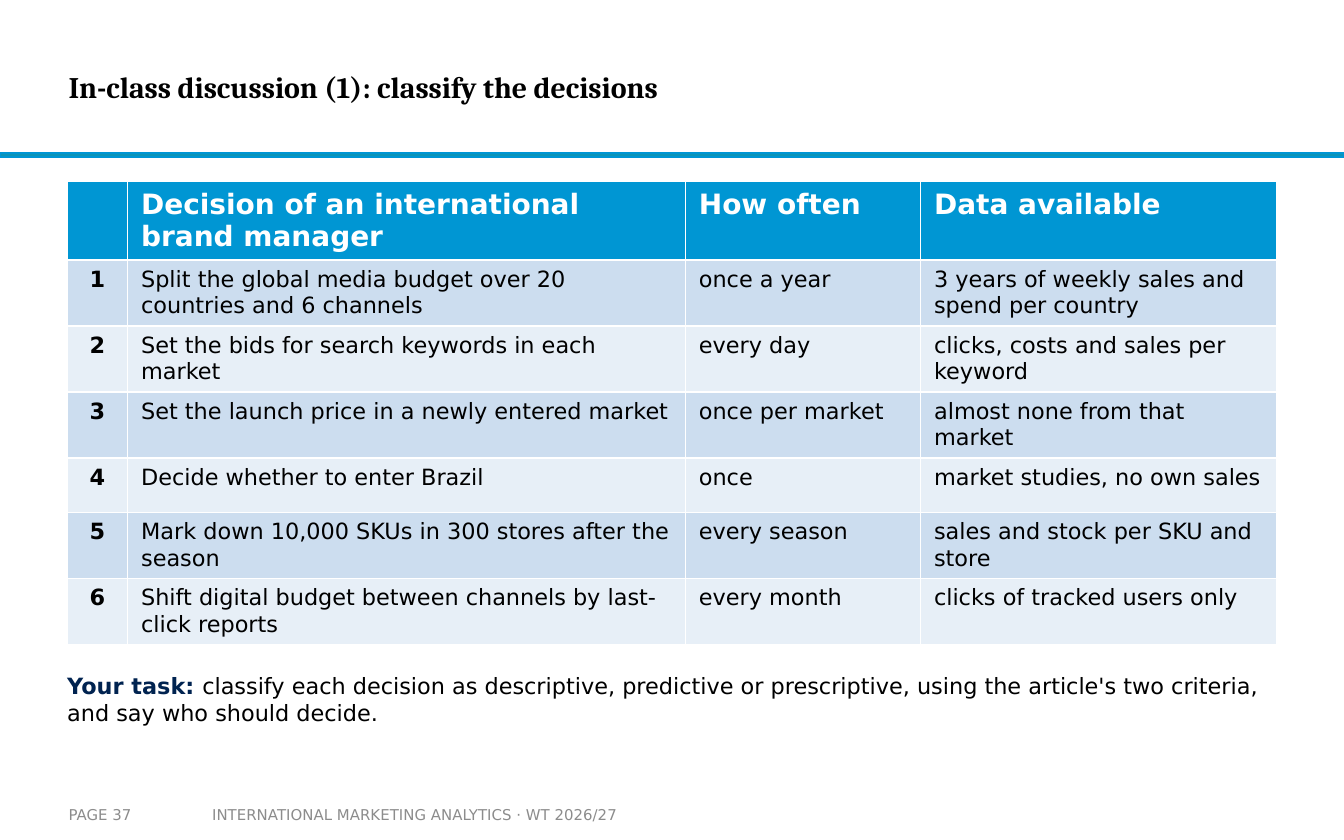
import pptx
import pptx.dml.color
import pptx.enum.shapes
import pptx.enum.text
import pptx.util
from pptx.util import Inches

COLORS = {
    "header": "0096D3", "rule": "0C94B7", "odd_row": "CCDDEF", "even_row": "E7EFF7",
    "navy": "002350", "gray": "8C8C8C", "black": "000000", "white": "FFFFFF",
}
ALIGN = pptx.enum.text.PP_ALIGN


def rgb(name):
    return pptx.dml.color.RGBColor.from_string(COLORS[name])


def add_text(paragraph, text, size, color, bold=False, name="DejaVu Sans"):
    run = paragraph.add_run()
    run.text = text
    values = {"size": pptx.util.Pt(size), "bold": bold, "name": name}
    for attribute, value in values.items():
        setattr(run.font, attribute, value)
    run.font.color.rgb = rgb(color)


presentation = pptx.Presentation()
presentation.slide_width = Inches(10)
presentation.slide_height = Inches(6.25)
slide = presentation.slides.add_slide(presentation.slide_layouts[5])

# Rule below the title
rule = slide.shapes.add_shape(
    pptx.enum.shapes.MSO_SHAPE.RECTANGLE, Inches(0), Inches(1.14), Inches(10), Inches(0.03))
rule.shadow.inherit = False
rule.fill.solid()
rule.fill.fore_color.rgb = rgb("rule")
rule.line.color.rgb = rgb("header")
rule.line.width = pptx.util.Pt(1)

# Table of decisions
rows = [
    ("", "Decision of an international brand manager", "How often", "Data available"),
    ("1", "Split the global media budget over 20 countries and 6 channels",
     "once a year", "3 years of weekly sales and spend per country"),
    ("2", "Set the bids for search keywords in each market",
     "every day", "clicks, costs and sales per keyword"),
    ("3", "Set the launch price in a newly entered market",
     "once per market", "almost none from that market"),
    ("4", "Decide whether to enter Brazil", "once", "market studies, no own sales"),
    ("5", "Mark down 10,000 SKUs in 300 stores after the season",
     "every season", "sales and stock per SKU and store"),
    ("6", "Shift digital budget between channels by last-click reports",
     "every month", "clicks of tracked users only"),
]
column_widths = [0.45, 4.15, 1.75, 2.65]
table = slide.shapes.add_table(
    len(rows), len(column_widths), Inches(0.5), Inches(1.35), Inches(9), Inches(2.84)).table
for column, width in zip(table.columns, column_widths):
    column.width = Inches(width)
for row_index, row in enumerate(rows):
    is_header = row_index == 0
    fill = "header" if is_header else ("odd_row" if row_index % 2 else "even_row")
    for column_index, text in enumerate(row):
        cell = table.cell(row_index, column_index)
        cell.fill.solid()
        cell.fill.fore_color.rgb = rgb(fill)
        paragraph = cell.text_frame.paragraphs[0]
        if column_index == 0:
            paragraph.alignment = ALIGN.CENTER
        if text:
            add_text(paragraph, text, 15 if is_header else 12,
                     "white" if is_header else "black", is_header or column_index == 0)

# Title, footer and task: box (left, top, width, height), side and vertical margins, runs
title = slide.shapes.title
text_blocks = [
    (title, (0.51, 0.15, 7.48, 0.99), 0, 0,
     [("In-class discussion (1): classify the decisions", 16, "black", True, "Cambria")]),
    (None, (1.48, 5.92, 3.52, 0.28), 0.1, 0.05,
     [("INTERNATIONAL MARKETING ANALYTICS · WT 2026/27", 8, "gray")]),
    (None, (0.51, 5.92, 0.98, 0.28), 0, 0.05, [("PAGE 37", 8, "gray")]),
    (None, (0.5, 4.95, 9, 0.5), 0, 0,
     [("Your task: ", 12, "navy", True),
      ("classify each decision as descriptive, predictive or prescriptive, using the "
       "article's two criteria, and say who should decide.", 12, "black")]),
]
for shape, box, side_margin, vertical_margin, runs in text_blocks:
    lengths = [Inches(value) for value in box]
    if shape is None:
        shape = slide.shapes.add_textbox(*lengths)
    for attribute, length in zip(("left", "top", "width", "height"), lengths):
        setattr(shape, attribute, length)
    frame_values = {
        "margin_left": Inches(side_margin), "margin_right": Inches(side_margin),
        "margin_top": Inches(vertical_margin), "margin_bottom": Inches(vertical_margin),
        "vertical_anchor": pptx.enum.text.MSO_ANCHOR.MIDDLE,
        "auto_size": pptx.enum.text.MSO_AUTO_SIZE.NONE, "word_wrap": True,
    }
    for attribute, value in frame_values.items():
        setattr(shape.text_frame, attribute, value)
    paragraph = shape.text_frame.paragraphs[0]
    paragraph.alignment = ALIGN.LEFT
    for run in runs:
        add_text(paragraph, *run)

presentation.save("out.pptx")
